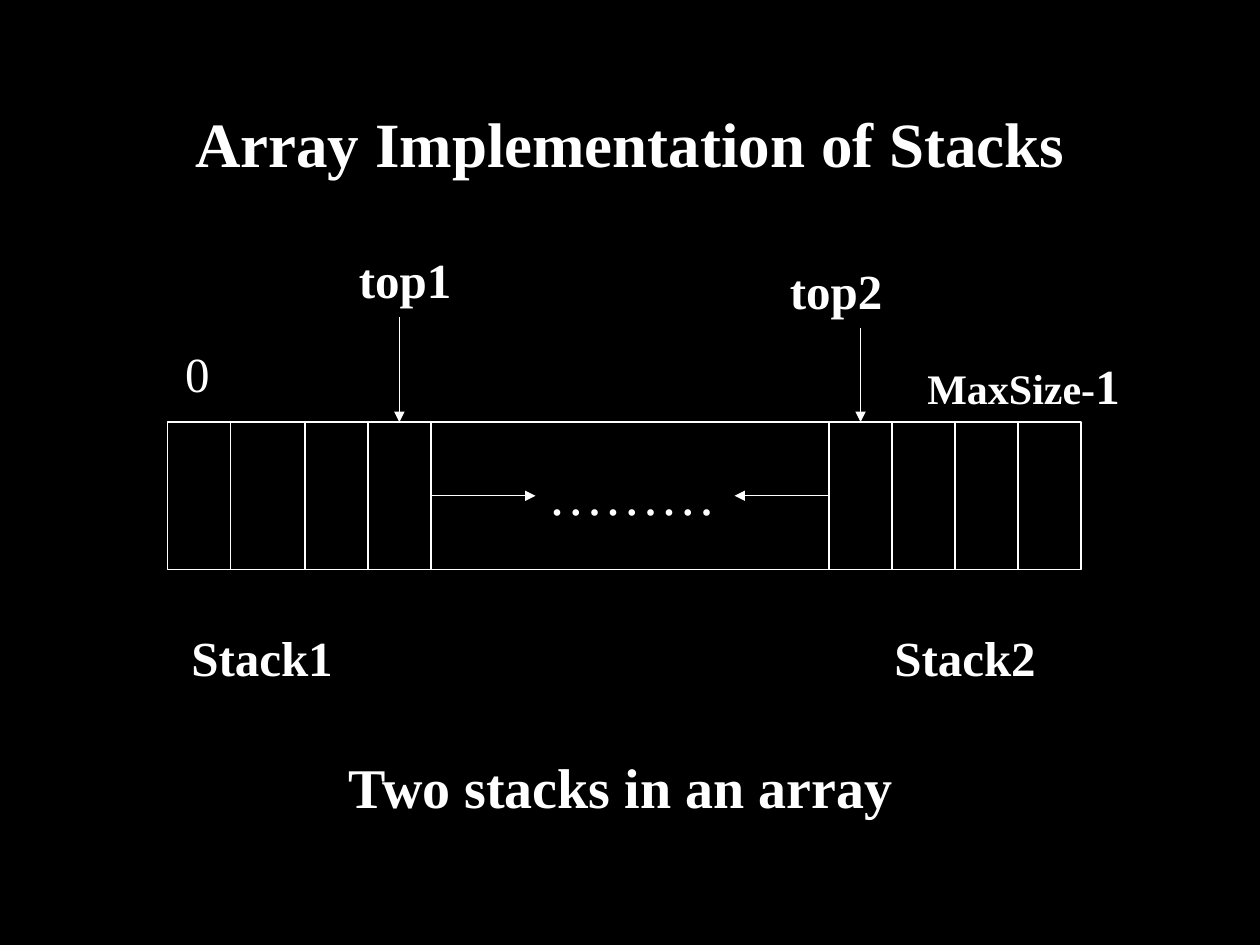
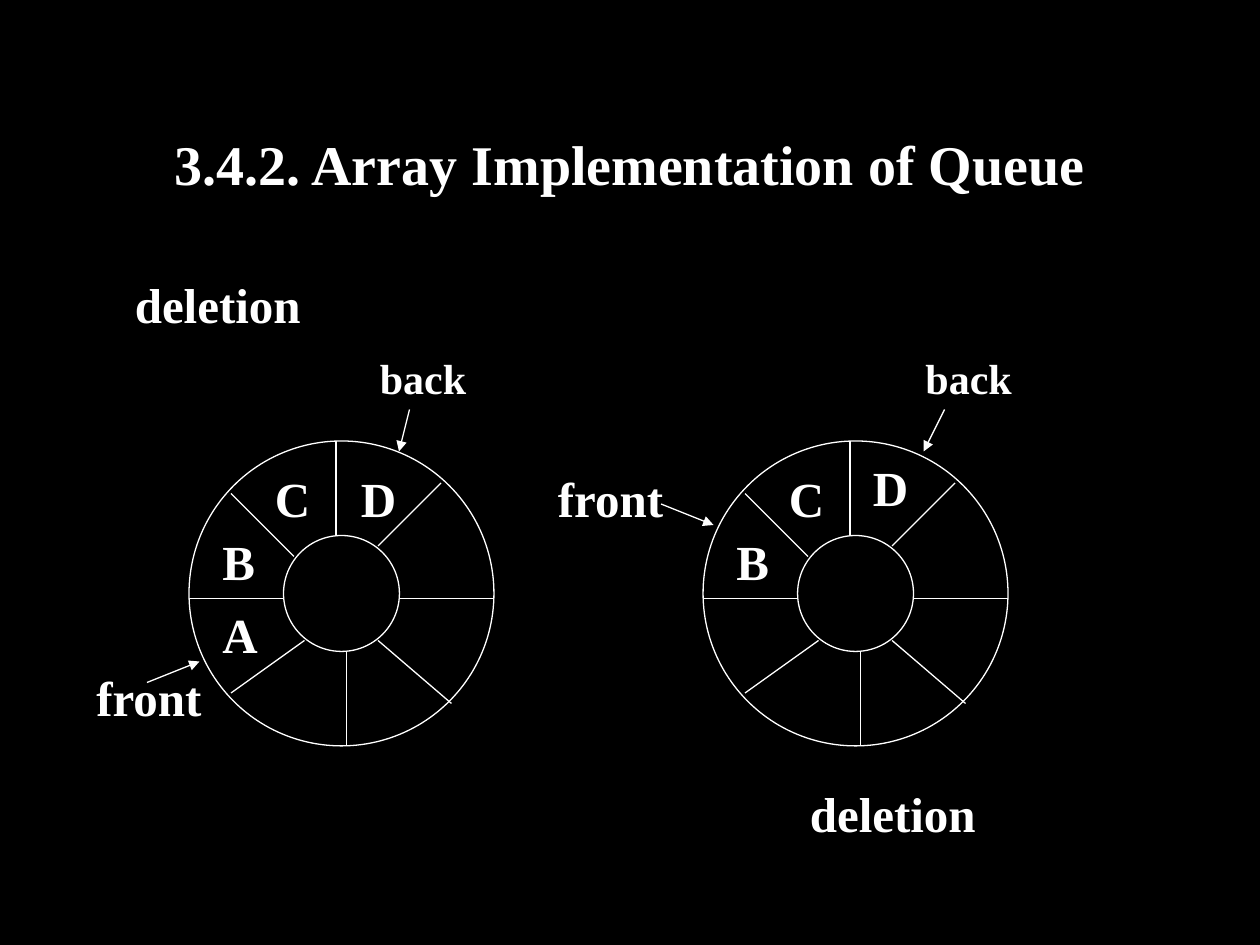
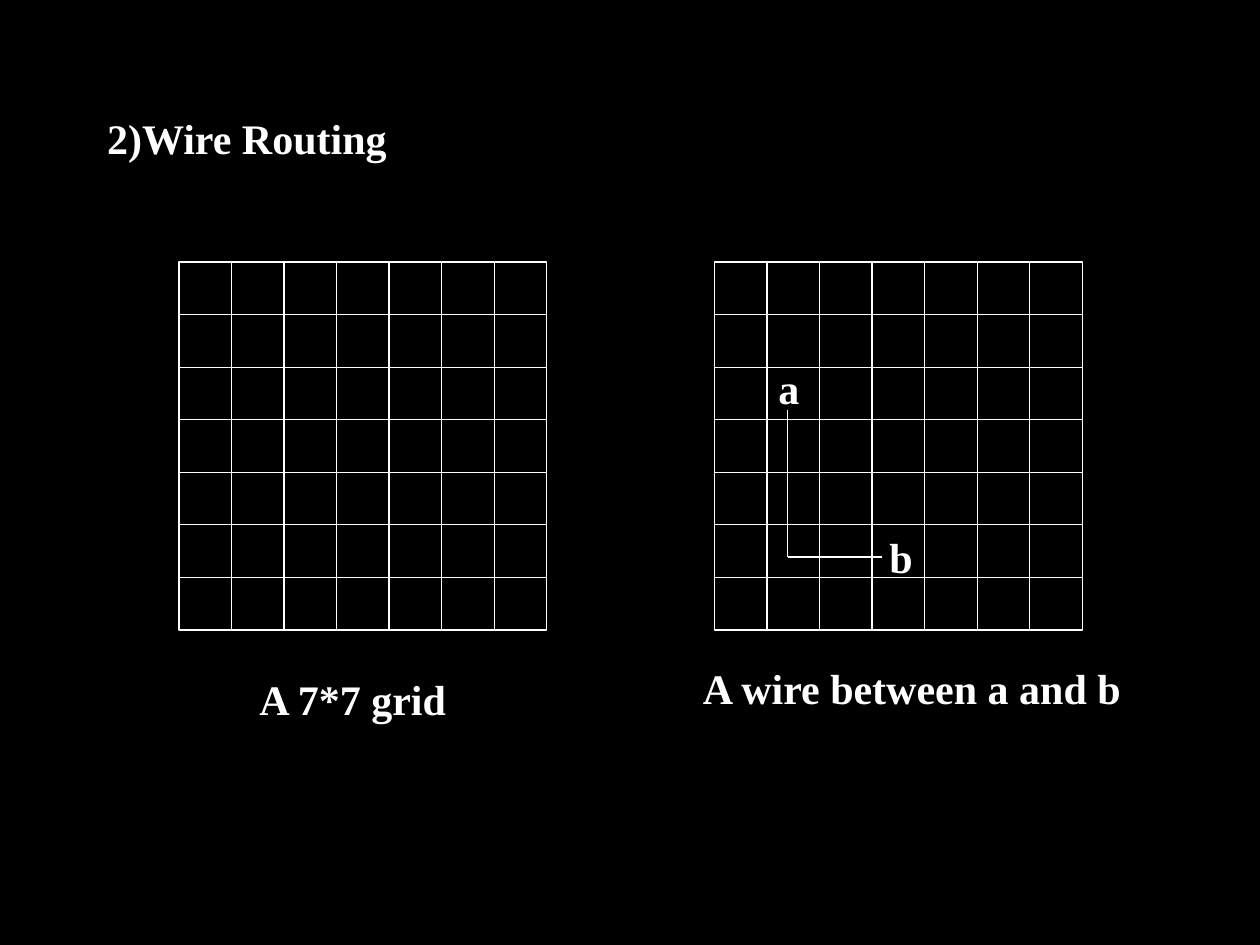
from lxml import etree
from pptx import Presentation
from pptx import util as u
from pptx.dml.color import RGBColor
from pptx.enum import shapes, text
from pptx.oxml.ns import qn

BLACK = RGBColor(0x00, 0x00, 0x00)
WHITE = RGBColor(0xFF, 0xFF, 0xFF)
FONT = "Times New Roman"
THIN = u.Pt(0.75)
SPOKES = [
    (14, 0, 14, 9), (15, 20, 15, 29), (20, 15, 29, 15), (9, 15, 0, 15),
    (18, 10, 24, 4), (10, 11, 4, 5), (11, 19, 4, 24), (18, 19, 25, 25),
]


def add_run(para, words, size, bold=True):
    """Append one white run to a paragraph."""
    run = para.add_run()
    run.text = words
    run.font.name = FONT
    run.font.size = u.Pt(size)
    run.font.bold = bold
    run.font.color.rgb = WHITE


def place(shape, x, y, w, h):
    """Move and size a shape in inches."""
    shape.left, shape.top, shape.width, shape.height = map(u.Inches, (x, y, w, h))


def add_title(slide, box, words, size, align=text.PP_ALIGN.CENTER):
    """Fill and place the title of a slide."""
    title = slide.shapes.title
    place(title, *box)
    frame = title.text_frame
    frame.vertical_anchor = text.MSO_ANCHOR.MIDDLE
    frame.auto_size = text.MSO_AUTO_SIZE.NONE
    frame.paragraphs[0].alignment = align
    add_run(frame.paragraphs[0], words, size)


def add_label(parts, x, y, w, h, *runs, pad=0.1, wrap=True):
    """Add a text box made of (words, size, bold) runs."""
    frame = parts.add_textbox(*map(u.Inches, (x, y, w, h))).text_frame
    frame.word_wrap = wrap
    frame.margin_left = u.Inches(pad)
    for run in runs:
        add_run(frame.paragraphs[0], *run)


def add_line(parts, x1, y1, x2, y2, arrow=False):
    """Draw a thin white line, with an arrowhead at its end if asked."""
    line = parts.add_connector(
        shapes.MSO_CONNECTOR.STRAIGHT, *map(u.Inches, (x1, y1, x2, y2)))
    line.line.color.rgb = WHITE
    line.line.width = THIN
    if arrow:
        etree.SubElement(line.line._get_or_add_ln(), qn("a:tailEnd"), type="triangle")
    etree.SubElement(line._element.spPr, qn("a:effectLst"))


def add_frame(parts, kind, x, y, w, h):
    """Draw a hollow shape with a thin white outline."""
    shape = parts.add_shape(kind, *map(u.Inches, (x, y, w, h)))
    shape.shadow.inherit = False
    shape.fill.background()
    shape.line.color.rgb = WHITE
    shape.line.width = THIN


def add_array(parts, x, y, w, h):
    """Draw an array that holds two stacks growing towards each other."""
    add_frame(parts, shapes.MSO_SHAPE.RECTANGLE, x, y, w, h)
    left = [0.5, 1.09, 1.59, 2.09]
    right = [w - 0.5 * n for n in range(1, 5)]
    for cut in left + right:
        add_line(parts, x + cut, y, x + cut, y + h)
    mid = y + h / 2
    add_line(parts, x + left[-1], mid, x + 2.92, mid, True)
    add_line(parts, x + right[-1], mid, x + 4.5, mid, True)
    for dx, rise in ((1.84, 0.83), (5.5, 0.75)):
        add_line(parts, x + dx, y - rise, x + dx, y, True)
    for dx, dy, wide, words in (
        (1.42, -1.42, 1, "top1"), (4.84, -1.33, 1.17, "top2"),
        (0.09, 1.58, 2.25, "Stack1"), (5.67, 1.58, 2, "Stack2"),
    ):
        add_label(parts, x + dx, y + dy, wide, 0.57, (words, 28))
    add_label(parts, x - 0.25, y - 0.67, 0.92, 0.57, ("0", 28, False), pad=0.39)
    add_label(parts, x + 5.25, y - 0.58, 2.42, 0.57,
              ("MaxSize-", 24), ("1", 28), pad=0.78)
    add_label(parts, x + 2.92, y + 0.25, 1.83, 0.63, ("………", 32, False))


def add_ring(parts, x, y, marks, arrows):
    """Draw a ring queue whose marks and arrows are set in twelfths of an inch."""
    for inset, size in ((0, 2.42), (0.75, 0.92)):
        add_frame(parts, shapes.MSO_SHAPE.OVAL, x + inset, y + inset, size, size)
    for group, arrow in ((SPOKES, False), (arrows, True)):
        for x1, y1, x2, y2 in group:
            add_line(parts, x + x1 / 12, y + y1 / 12, x + x2 / 12, y + y2 / 12, arrow)
    for words, dx, dy, wide, size in marks:
        add_label(parts, x + dx / 12, y + dy / 12, wide, size / 50, (words, size))


def add_grid(parts, x, y, side, count):
    """Draw a square grid with count cells on each side."""
    add_frame(parts, shapes.MSO_SHAPE.RECTANGLE, x, y, side, side)
    for n in range(1, count):
        cut = side * n / count
        add_line(parts, x, y + cut, x + side, y + cut)
        add_line(parts, x + cut, y, x + cut, y + side)


def add_wire(parts, x, y):
    """Draw the bent wire from a to b inside the grid at x, y."""
    bend_x, bend_y = x + 0.58, y + 2.34
    add_line(parts, bend_x, y + 1.17, bend_x, bend_y)
    add_line(parts, bend_x, bend_y, x + 1.33, bend_y)
    for words, dx, dy in (("a", 0.41, 0.75), ("b", 1.29, 2.09)):
        add_label(parts, x + dx, y + dy, 0.38, 0.5, (words, 24), wrap=False)


def stack_slide(deck):
    """Build the slide on two stacks in an array."""
    slide = deck.slides.add_slide(deck.slide_layouts[5])
    add_title(slide, (0.75, 0.67, 8.5, 0.92), "Array Implementation of Stacks", 36)
    add_array(slide.shapes.add_group_shape().shapes, 1.33, 3.35, 7.25, 1.17)
    add_label(slide.shapes, 2.67, 5.92, 5.5, 0.63, ("Two stacks in an array", 32))


def queue_slide(deck):
    """Build the slide on deletion from a ring queue."""
    slide = deck.slides.add_slide(deck.slide_layouts[1])
    add_title(slide, (0.75, 0.67, 8.5, 1.25), "3.4.2. Array Implementation of Queue", 32)
    body = slide.placeholders[1]
    place(body, 0.75, 2.08, 8.5, 4.67)
    frame = body.text_frame
    frame.auto_size = text.MSO_AUTO_SIZE.NONE
    frame.margin_left, frame.margin_top = u.Inches(0.32), u.Inches(0.1)
    para = frame.paragraphs[0]
    props = para._p.get_or_add_pPr()
    props.set("marL", "0")
    props.set("indent", "0")
    etree.SubElement(props, qn("a:buNone"))
    para.space_before = u.Pt(0)
    add_run(para, "deletion", 28)
    both = [("C", 7, 2, 0.58, 28), ("B", 2, 8, 0.5, 28)]
    before = both + [
        ("A", 2, 15, 0.58, 28), ("D", 15.2, 2, 0.5, 28),
        ("front", -10, 21, 1.08, 28), ("back", 17, -9, 1, 24),
    ]
    after = both + [
        ("D", 15, 1, 0.5, 28), ("front", -15, 2, 1.08, 28),
        ("back", 20, -9, 1, 24), ("deletion", 9, 32, 2.33, 28),
    ]
    for x, marks, arrows in (
        (1.5, before, [(21, -3, 20, 1), (-4, 23, 1, 21)]),
        (5.58, after, [(23, -3, 21, 1), (-4, 6, 1, 8)]),
    ):
        add_ring(slide.shapes.add_group_shape().shapes, x, 3.5, marks, arrows)


def wire_slide(deck):
    """Build the slide on wire routing in a grid."""
    slide = deck.slides.add_slide(deck.slide_layouts[5])
    add_title(slide, (0.75, 0.68, 8.5, 0.83), "2)Wire Routing", 24, text.PP_ALIGN.LEFT)
    for x in (1.42, 5.67):
        add_grid(slide.shapes.add_group_shape().shapes, x, 2.08, 2.92, 7)
    add_wire(slide.shapes, 5.67, 2.08)
    for x, y, wide, words in (
        (1.96, 5.3, 1.7, "A 7*7 grid"), (5.48, 5.21, 3.54, "A wire between a and b"),
    ):
        add_label(slide.shapes, x, y, wide, 0.5, (words, 24), wrap=False)


def main():
    """Build the deck and save it."""
    deck = Presentation()
    deck.slide_width, deck.slide_height = u.Inches(10), u.Inches(7.5)
    fill = deck.slide_master.background.fill
    fill.solid()
    fill.fore_color.rgb = BLACK
    for build in (stack_slide, queue_slide, wire_slide):
        build(deck)
    deck.save("out.pptx")


if __name__ == "__main__":
    main()
